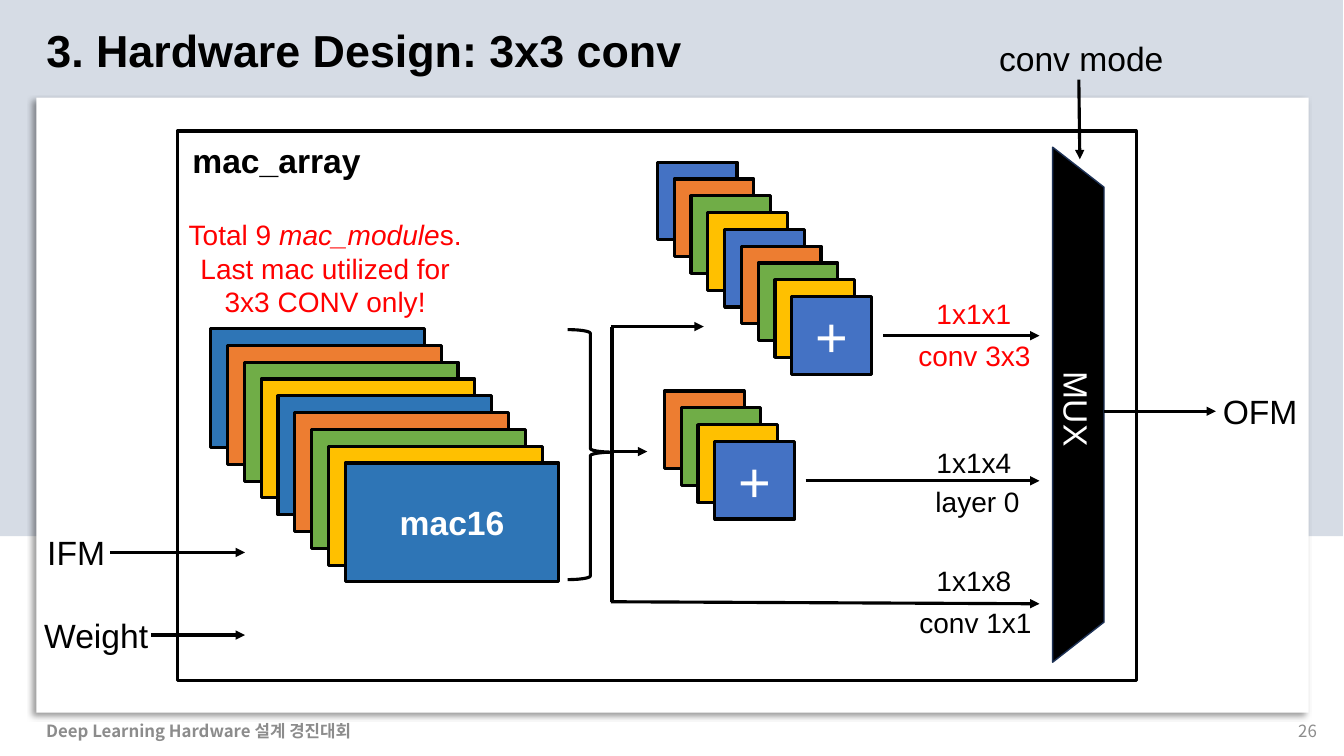
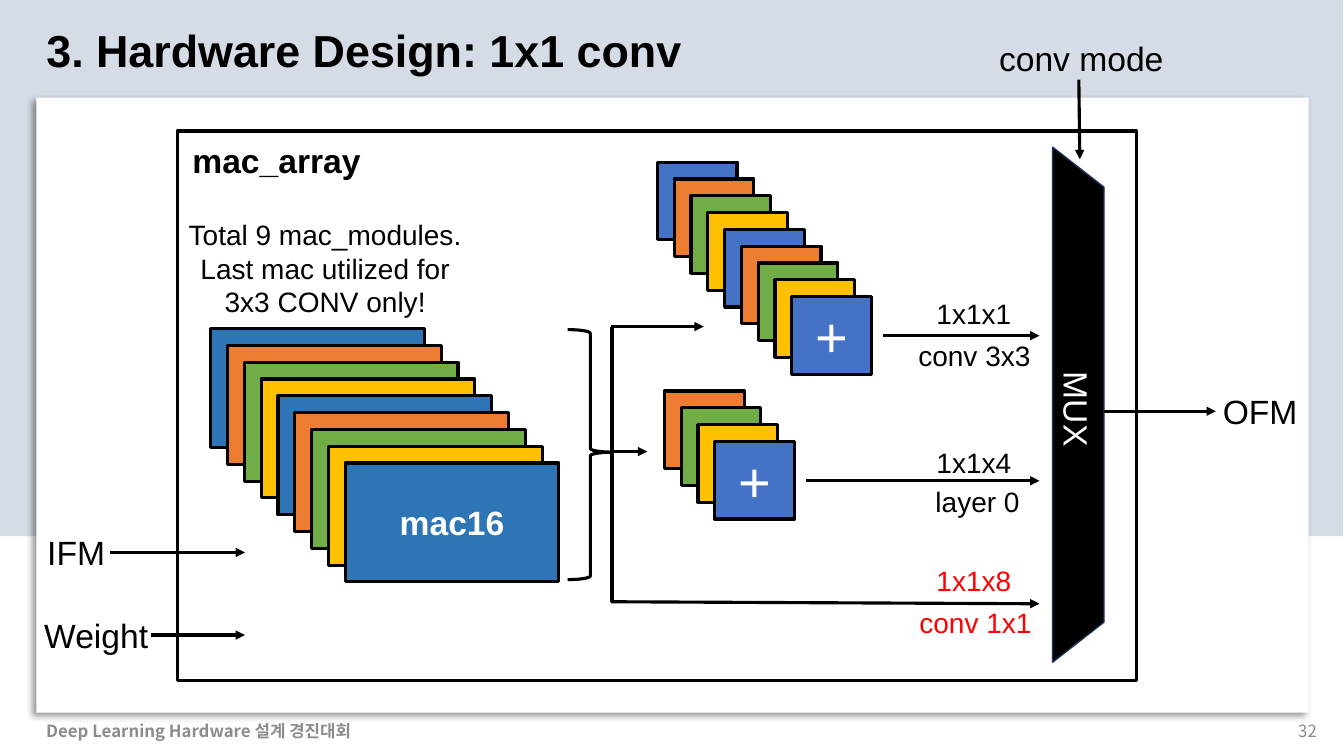
from lxml.etree import SubElement
from pptx import Presentation
from pptx.dml.color import RGBColor
from pptx.enum.shapes import MSO_CONNECTOR, MSO_SHAPE
from pptx.enum.text import MSO_ANCHOR, MSO_AUTO_SIZE, PP_ALIGN
from pptx.oxml.ns import qn
from pptx.util import Inches, Pt

COLORS = {
    "black": "000000", "white": "FFFFFF", "red": "FF0000", "grey": "8C8C8C",
    "band": "D6DCE5", "mac": "2E75B6", "adder": "4472C4", "orange": "ED7D31",
    "green": "70AD47", "yellow": "FFC000", "mux_edge": "1E3256",
}
LATIN, KOREAN = "Arial", "Noto Sans CJK KR"
WIDTH, HEIGHT = 13.33, 7.5
STACK_STEP = 1 / 6
LINE_WIDTH = 2.25

FOOTER = "Deep Learning Hardware 설계 경진대회"
SLIDES = [
    {"title": "3. Hardware Design: 3x3 conv", "number": "26", "active": "conv 3x3",
     "note_color": "red", "italic": "mac_module"},
    {"title": "3. Hardware Design: 1x1 conv", "number": "32", "active": "conv 1x1",
     "note_color": "black", "italic": None},
]
NOTE_RUNS = ["Total 9 ", "mac_module", "s."]
NOTE_END = "Last mac utilized for 3x3 CONV only!"

STACKS = [
    {"at": (2.09, 3.26), "size": (2.12, 1.18), "count": 9, "first": 0,
     "base": "mac", "label": "mac16", "points": 24, "bold": True},
    {"at": (6.59, 3.88), "size": (0.79, 0.77), "count": 4, "first": 1,
     "base": "adder", "label": "+", "points": 40, "bold": False},
    {"at": (6.52, 1.61), "size": (0.79, 0.77), "count": 9, "first": 0,
     "base": "adder", "label": "+", "points": 40, "bold": False},
]
PORTS = [
    ("IFM", (0.37, 5.23, 0.78, 0.5)),
    ("Weight", (0.34, 6.05, 1.24, 0.5)),
    ("OFM", (12.03, 3.83, 0.95, 0.5)),
    ("conv mode", (9.81, 0.33, 1.85, 0.5)),
]
OUTPUTS = [
    ("1x1x1", 2.89, "conv 3x3", (9.01, 3.31, 1.36, 0.44)),
    ("1x1x4", 4.37, "layer 0", (9.18, 4.76, 1.16, 0.44)),
    ("1x1x8", 5.54, "conv 1x1", (9.02, 5.96, 1.36, 0.44)),
]
ARROWS = [
    ((6.06, 4.48), (6.42, 4.48)),
    ((6.06, 3.24), (6.98, 3.24)),
    ((6.06, 5.97), (10.31, 5.99)),
    ((7.99, 4.77), (10.31, 4.77)),
    ((8.76, 3.33), (10.31, 3.33)),
    ((1.5, 6.3), (2.43, 6.3)),
    ((1.09, 5.48), (2.43, 5.48)),
    ((10.95, 4.08), (12.06, 4.08)),
    ((10.7, 0.79), (10.71, 1.58)),
]
BUS = ((6.07, 3.24), (6.07, 5.97))


def rgb(name):
    return RGBColor.from_string(COLORS[name])


def inches(values):
    return [Inches(value) for value in values]


def style(frame, points, color="black", bold=False, font=LATIN, align=PP_ALIGN.LEFT):
    for paragraph in frame.paragraphs:
        paragraph.alignment = align
        for run in paragraph.runs:
            run.font.size, run.font.bold, run.font.name = Pt(points), bold, font
            run.font.color.rgb = rgb(color)
            SubElement(run.font._element, qn("a:ea"), typeface=font)


def add_label(slide, text, at, points, wrap=False, **look):
    frame = slide.shapes.add_textbox(*inches(at)).text_frame
    frame.text = text
    frame.word_wrap = wrap
    frame.auto_size = MSO_AUTO_SIZE.SHAPE_TO_FIT_TEXT
    style(frame, points, **look)
    return frame


def add_block(shapes, at, fill=None, line="black", width=LINE_WIDTH, preset=MSO_SHAPE.RECTANGLE):
    block = shapes.add_shape(preset, *inches(at))
    block.shadow.inherit = False
    if fill:
        block.fill.solid()
        block.fill.fore_color.rgb = rgb(fill)
    else:
        block.fill.background()
    if line:
        block.line.color.rgb = rgb(line)
        block.line.width = Pt(width)
    else:
        block.line.fill.background()
    return block


def caption(block, text, points, bold=False):
    frame = block.text_frame
    frame.text = text
    frame.vertical_anchor = MSO_ANCHOR.MIDDLE
    style(frame, points, "white", bold, align=PP_ALIGN.CENTER)
    return frame


def add_wire(slide, start, end, arrow=True):
    wire = slide.shapes.add_connector(MSO_CONNECTOR.STRAIGHT, *inches(start + end))
    wire.line.color.rgb = rgb("black")
    wire.line.width = Pt(LINE_WIDTH)
    if arrow:
        SubElement(wire.get_or_add_ln(), qn("a:tailEnd"), type="triangle")
    SubElement(wire.element.spPr, qn("a:effectLst"))


def add_background(layout, slide):
    band = add_block(slide.shapes, (-0.01, 0, WIDTH, 5.32), "band", None)
    panel = add_block(slide.shapes, (0.36, 0.97, 12.62, 6.1), "white", None)
    effects = panel.element.spPr.find(qn("a:effectLst"))
    shadow = SubElement(effects, qn("a:outerShdw"), blurRad=str(Pt(4)), dist=str(Pt(3)),
                        dir=str(135 * 60000), algn="tr", rotWithShape="0")
    tint = SubElement(shadow, qn("a:srgbClr"), val=COLORS["black"])
    SubElement(tint, qn("a:alpha"), val="40000")
    for position, part in enumerate((band, panel)):
        part.element.nvSpPr.cNvPr.set("id", str(100 + position))
        layout.shapes.element.insert(2 + position, part.element)


def add_frame(slide, content):
    title = slide.shapes.title
    title.left, title.top, title.width, title.height = inches((0.36, 0.18, 6.55, 0.64))
    frame = title.text_frame
    frame.text = content["title"]
    frame.word_wrap = False
    frame.auto_size = MSO_AUTO_SIZE.SHAPE_TO_FIT_TEXT
    frame.vertical_anchor = MSO_ANCHOR.TOP
    style(frame, 32, bold=True)
    for text, left, width, bold, align in (
        (FOOTER, 0.36, 4.5, True, PP_ALIGN.LEFT),
        (content["number"], 10.16, 3, False, PP_ALIGN.RIGHT),
    ):
        footer = add_label(slide, text, (left, 7.05, width, 0.4), 12, wrap=True,
                           color="grey", bold=bold, font=KOREAN, align=align)
        footer.auto_size = MSO_AUTO_SIZE.NONE
        footer.vertical_anchor = MSO_ANCHOR.MIDDLE


def add_stack(slide, stack):
    layers = slide.shapes.add_group_shape().shapes
    cycle = [stack["base"], "orange", "green", "yellow"]
    left, top = stack["at"]
    for index in range(stack["count"]):
        shift = index * STACK_STEP
        layer = add_block(layers, (left + shift, top + shift, *stack["size"]),
                          cycle[(stack["first"] + index) % len(cycle)])
    caption(layer, stack["label"], stack["points"], stack["bold"])


def add_note(slide, content):
    note = add_label(slide, "", (1.73, 2.11, 2.99, 1.11), 20, wrap=True)
    for text in NOTE_RUNS:
        run = note.paragraphs[0].add_run()
        run.text = text
        run.font.italic = text == content["italic"]
    note.add_paragraph().text = NOTE_END
    style(note, 20, content["note_color"], align=PP_ALIGN.CENTER)


def add_diagram(slide, content):
    add_block(slide.shapes, (1.76, 1.3, 9.51, 5.45))
    add_label(slide, "mac_array", (1.81, 1.34, 1.89, 0.5), 24, bold=True)
    for stack in STACKS:
        add_stack(slide, stack)
    brace = add_block(slide.shapes, (5.63, 3.27, 0.45, 2.48), preset=MSO_SHAPE.LEFT_BRACE)
    brace.rotation = 180
    brace.adjustments[0], brace.adjustments[1] = 0.08, 0.51
    add_note(slide, content)
    mux = add_block(slide.shapes, (8.14, 3.76, 5.11, 0.51), "black", "mux_edge", 1,
                    MSO_SHAPE.TRAPEZOID)
    mux.rotation = 90
    mux.adjustments[0] = 0.78
    caption(mux, "MUX", 24).margin_left = Inches(0.19)
    add_wire(slide, *BUS, arrow=False)
    for start, end in ARROWS:
        add_wire(slide, start, end)
    for size, size_top, mode, mode_at in OUTPUTS:
        color = "red" if mode == content["active"] else "black"
        add_label(slide, size, (9.19, size_top, 0.96, 0.44), 20, wrap=True, color=color)
        add_label(slide, mode, mode_at, 20, wrap=True, color=color)
    for port, at in PORTS:
        add_label(slide, port, at, 24)


def main():
    deck = Presentation()
    deck.slide_width, deck.slide_height = inches((WIDTH, HEIGHT))
    layout = deck.slide_layouts[5]
    for index, content in enumerate(SLIDES):
        slide = deck.slides.add_slide(layout)
        if index == 0:
            add_background(layout, slide)
        add_frame(slide, content)
        add_diagram(slide, content)
    deck.save("out.pptx")


if __name__ == "__main__":
    main()
